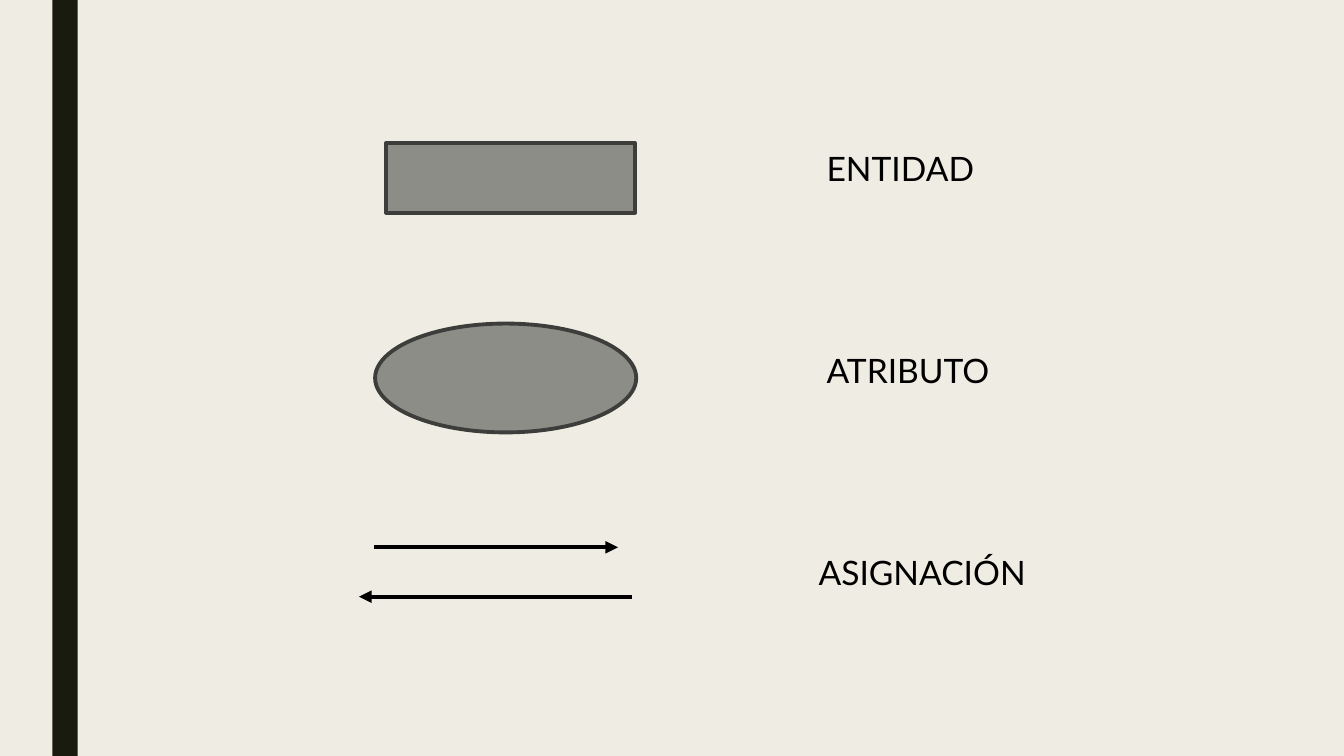
from dataclasses import dataclass

from lxml.etree import SubElement
from pptx import Presentation
from pptx.dml.color import RGBColor
from pptx.enum.shapes import MSO_CONNECTOR, MSO_SHAPE
from pptx.enum.text import MSO_ANCHOR, PP_ALIGN
from pptx.oxml.ns import qn
from pptx.util import Inches, Pt


@dataclass(frozen=True)
class Theme:
    background: RGBColor = RGBColor.from_string("EFEDE3")
    bar: RGBColor = RGBColor.from_string("191B0E")
    symbol: RGBColor = RGBColor.from_string("8C8D86")
    outline: RGBColor = RGBColor.from_string("3D3E3B")
    ink: RGBColor = RGBColor.from_string("000000")
    font: str = "Lato"
    label_size: float = 24
    outline_width: float = 2.75
    arrow_width: float = 3


THEME = Theme()
SLIDE_WIDTH, SLIDE_HEIGHT = 13.33, 7.5


def add_filled_shape(slide, preset, box, fill):
    shape = slide.shapes.add_shape(preset, *map(Inches, box))
    shape.shadow.inherit = False
    shape.fill.solid()
    shape.fill.fore_color.rgb = fill
    shape.line.fill.background()
    return shape


def add_side_bar(slide, box):
    add_filled_shape(slide, MSO_SHAPE.RECTANGLE, box, THEME.bar)


def add_symbol(slide, preset, box):
    """Add an outlined diagram symbol."""
    symbol = add_filled_shape(slide, preset, box, THEME.symbol)
    symbol.line.color.rgb = THEME.outline
    symbol.line.width = Pt(THEME.outline_width)


def add_arrow(slide, start_x, end_x, y):
    arrow = slide.shapes.add_connector(
        MSO_CONNECTOR.STRAIGHT, Inches(start_x), Inches(y), Inches(end_x), Inches(y)
    )
    arrow.line.color.rgb = THEME.ink
    arrow.line.width = Pt(THEME.arrow_width)
    SubElement(arrow.line._get_or_add_ln(), qn("a:tailEnd"), type="triangle")
    SubElement(arrow._element.spPr, qn("a:effectLst"))


def add_assignment_arrows(slide, box):
    """Add a right arrow on the box's top edge and a left arrow on its bottom edge."""
    left, top, width, height = box
    add_arrow(slide, left + 0.15, left + width - 0.14, top)
    add_arrow(slide, left + width, left, top + height)


def add_label(slide, text, box):
    label = slide.shapes.add_textbox(*map(Inches, box))
    frame = label.text_frame
    frame.word_wrap = True
    frame.vertical_anchor = MSO_ANCHOR.TOP
    frame.text = text
    paragraph = frame.paragraphs[0]
    paragraph.alignment = PP_ALIGN.LEFT
    font = paragraph.runs[0].font
    font.name = THEME.font
    font.size = Pt(THEME.label_size)
    font.color.rgb = THEME.ink


def build_legend_slide(presentation):
    slide = presentation.slides.add_slide(presentation.slide_layouts[6])
    slide.background.fill.solid()
    slide.background.fill.fore_color.rgb = THEME.background

    add_side_bar(slide, (0.52, 0, 0.25, SLIDE_HEIGHT))
    add_symbol(slide, MSO_SHAPE.OVAL, (3.72, 3.21, 2.59, 1.08))
    add_assignment_arrows(slide, (3.56, 5.43, 2.71, 0.49))
    add_symbol(slide, MSO_SHAPE.RECTANGLE, (3.83, 1.42, 2.47, 0.69))

    labels = {
        "ENTIDAD": (8.1, 1.42, 3.02, 0.81),
        "ATRIBUTO": (8.1, 3.42, 2.23, 0.5),
        "ASIGNACIÓN": (8.02, 5.43, 2.89, 0.5),
    }
    for text, box in labels.items():
        add_label(slide, text, box)


def main():
    presentation = Presentation()
    presentation.slide_width = Inches(SLIDE_WIDTH)
    presentation.slide_height = Inches(SLIDE_HEIGHT)
    build_legend_slide(presentation)
    presentation.save("out.pptx")


if __name__ == "__main__":
    main()
